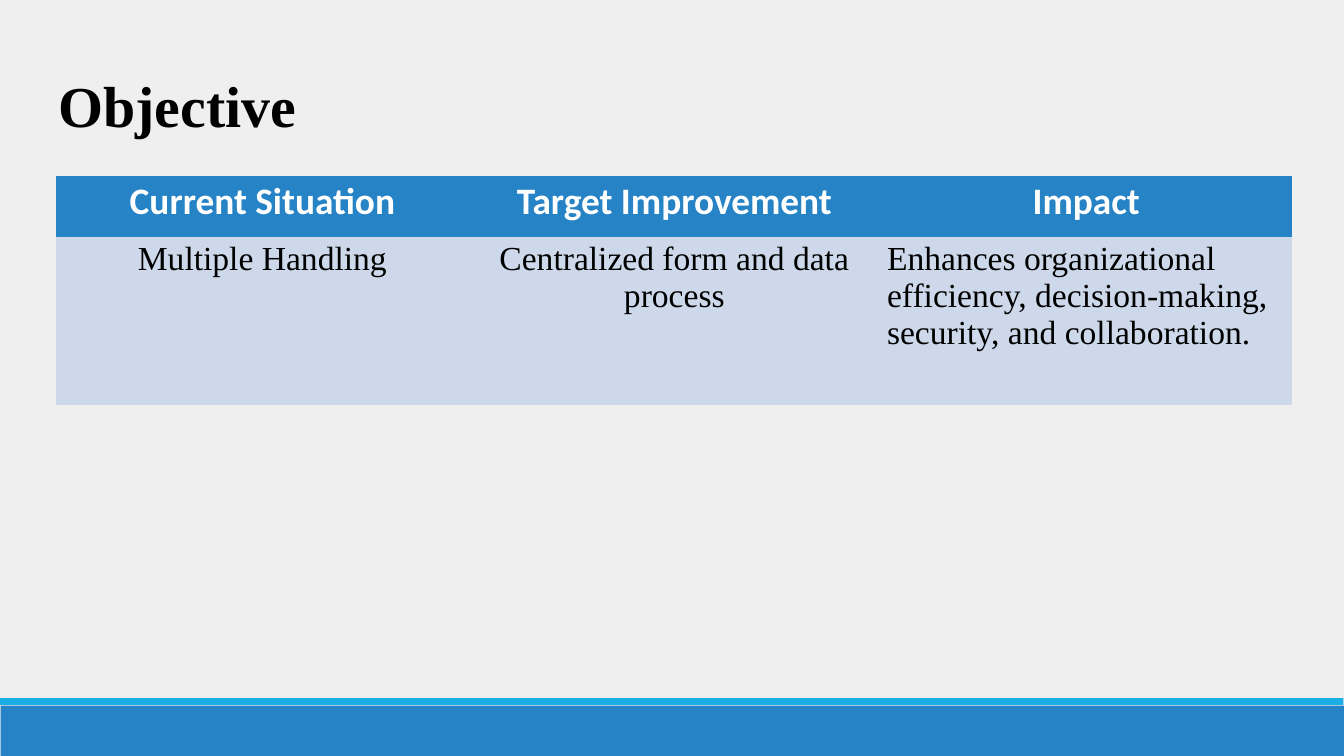
from pptx import Presentation
from pptx.dml.color import RGBColor
from pptx.enum.shapes import MSO_SHAPE
from pptx.enum.text import PP_ALIGN
from pptx.util import Inches, Pt

HEADS = ["Current Situation", "Target Improvement", "Impact"]
CELLS = [
    "Multiple Handling",
    "Centralized form and data process",
    "Enhances organizational efficiency, decision-making, security, and collaboration.",
]


def paint(fill, color):
    fill.solid()
    fill.fore_color.rgb = RGBColor.from_string(color)


class Deck:
    """Holds the style and the current slide."""

    BLUE, CYAN, PALE, GREY = "2683C6", "1CADE4", "CDD9EA", "EFEFEF"
    BLACK, WHITE = "000000", "FFFFFF"
    SERIF, SANS = "Times New Roman", "Calibri"

    def __init__(self):
        self.prs = Presentation()
        self.prs.slide_width = Inches(20)
        self.prs.slide_height = Inches(11.25)
        self.slide = self.prs.slides.add_slide(self.prs.slide_layouts[6])
        paint(self.slide.background.fill, self.GREY)

    def label(self, frame, text, size, font, color, bold=False, align=PP_ALIGN.LEFT):
        """Put styled text in a frame and return its paragraph."""
        frame.text = text
        para = frame.paragraphs[0]
        para.alignment = align
        for run in para.runs:
            run.font.size = Pt(size)
            run.font.name = font
            run.font.bold = bold
            paint(run.font.fill, color)
        return para

    def bar(self, left, top, height, color):
        box = self.slide.shapes.add_shape(
            MSO_SHAPE.RECTANGLE, Inches(left), Inches(top), Inches(19.99), Inches(height))
        box.shadow.inherit = False
        paint(box.fill, color)
        box.line.fill.background()

    def title(self, text):
        box = self.slide.shapes.add_textbox(
            Inches(0.87), Inches(1.04), Inches(6.75), Inches(1.04))
        frame = box.text_frame
        frame.word_wrap = True
        frame.margin_left = frame.margin_right = 0
        frame.margin_top = frame.margin_bottom = 0
        para = self.label(frame, text, 62, self.SERIF, self.BLACK, bold=True)
        para.line_spacing = Pt(74.4)

    def table(self, heads, cells):
        table = self.slide.shapes.add_table(
            2, len(heads), Inches(0.84), Inches(2.62), Inches(18.39), Inches(3.41)).table
        for row, height in zip(table.rows, (0.91, 2.5)):
            row.height = Inches(height)
        for col, (head, text) in enumerate(zip(heads, cells)):
            table.columns[col].width = Inches(6.13)
            top, body = table.cell(0, col), table.cell(1, col)
            paint(top.fill, self.BLUE)
            paint(body.fill, self.PALE)
            self.label(top.text_frame, head, 40, self.SANS, self.WHITE, True, PP_ALIGN.CENTER)
            last = col == len(heads) - 1
            align = PP_ALIGN.LEFT if last else PP_ALIGN.CENTER
            self.label(body.text_frame, text, 36, self.SERIF, self.BLACK, align=align)
        # The default style draws white rules between cells; this one has none.
        style = table._tbl.tblPr.find(
            "{http://schemas.openxmlformats.org/drawingml/2006/main}tableStyleId")
        style.text = "{2D5ABB26-0587-4C30-8999-92F81FD0307C}"


def main():
    deck = Deck()
    deck.bar(0.01, 10.5, 0.75, deck.BLUE)
    deck.bar(0, 10.39, 0.1, deck.CYAN)
    deck.title("Objective")
    deck.table(HEADS, CELLS)
    deck.prs.save("out.pptx")


if __name__ == "__main__":
    main()
